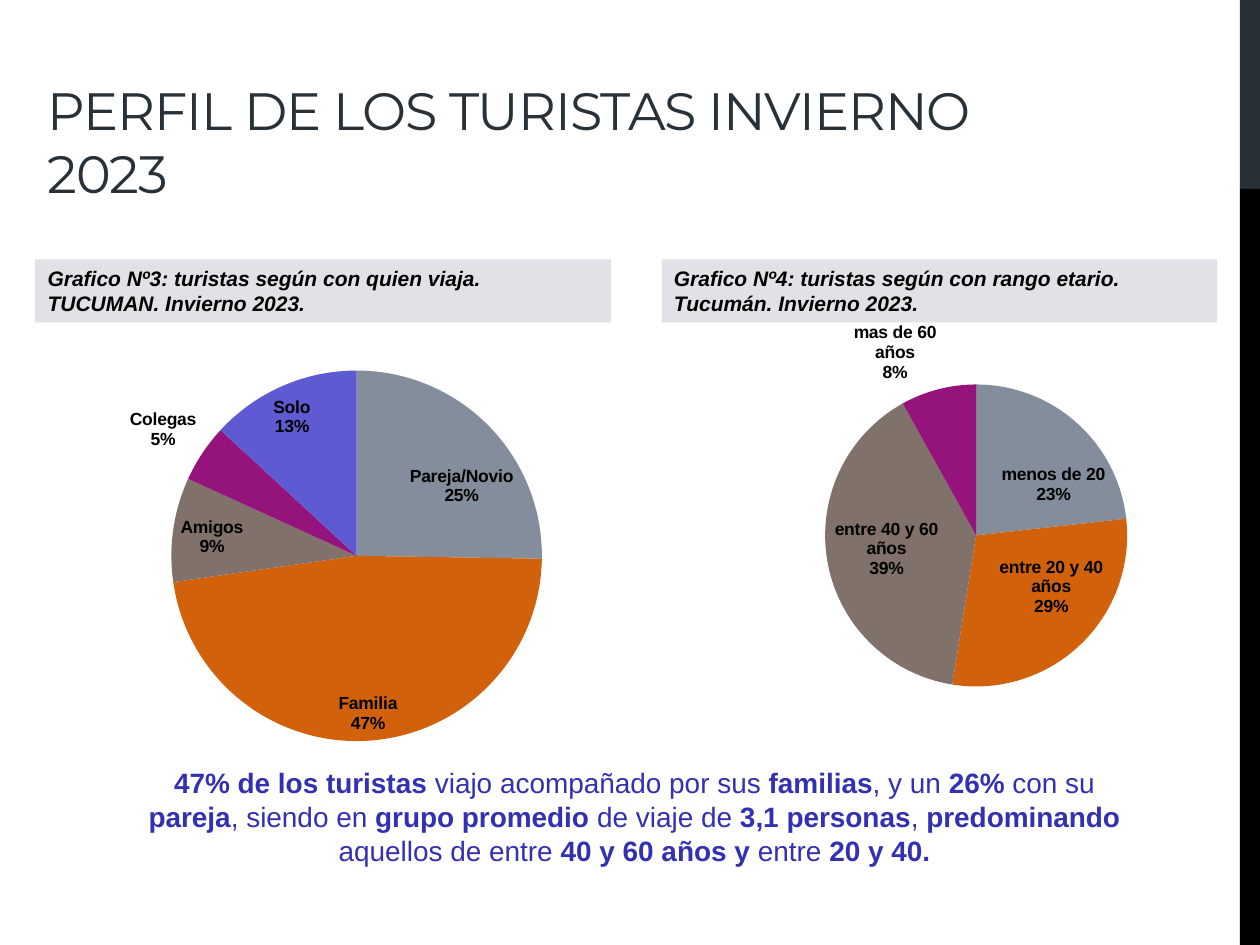
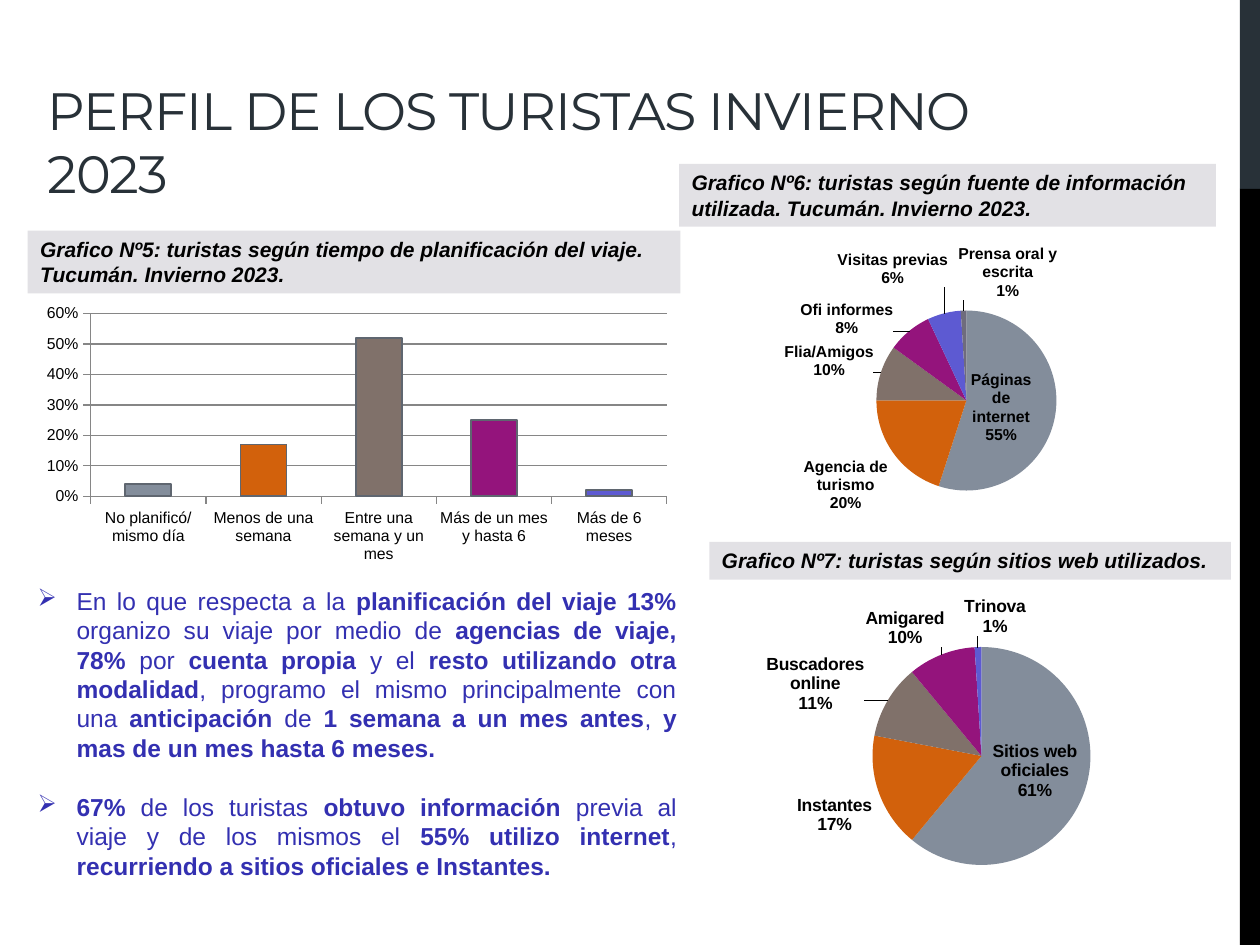
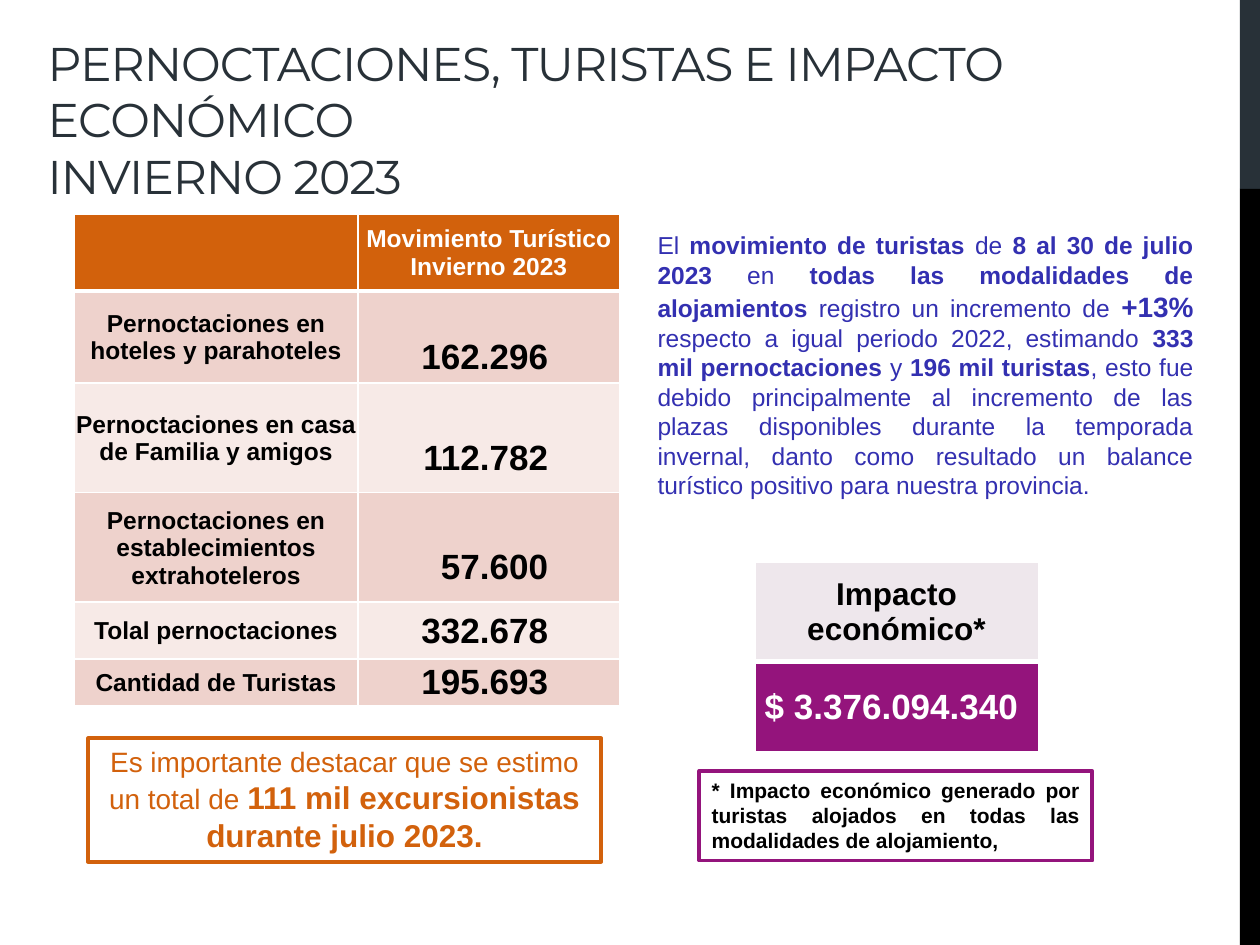
from dataclasses import dataclass

from lxml.etree import SubElement
from pptx import Presentation
from pptx.chart.data import CategoryChartData
from pptx.dml.color import RGBColor
from pptx.enum.chart import XL_CHART_TYPE, XL_LABEL_POSITION, XL_TICK_MARK
from pptx.enum.shapes import MSO_SHAPE
from pptx.enum.text import MSO_ANCHOR, PP_ALIGN
from pptx.oxml import parse_xml
from pptx.oxml.ns import nsdecls, qn
from pptx.util import Inches, Pt


@dataclass(frozen=True)
class Theme:
    body_font: str = "Arial"
    title_font: str = "Montserrat"
    dark: str = "283138"
    black: str = "000000"
    white: str = "FFFFFF"
    caption_fill: str = "E2E1E5"
    text: str = "3330B1"
    orange: str = "D2610C"
    purple: str = "94147C"
    grid: str = "868686"
    bar_line: str = "5F6670"
    row_fills: tuple = ("EED2CC", "F7EAE7")
    impact_fill: str = "EEE7EC"
    series: tuple = ("838D9B", "D2610C", "80716A", "94147C", "5D5AD2", "6F6C7D")
    title_size: int = 30
    long_title_size: int = 27
    amount_size: int = 20
    large_size: int = 18
    lead_size: int = 16
    body_size: int = 14
    caption_size: int = 12
    label_size: int = 10
    small_size: int = 9


THEME = Theme()
WIDTH, HEIGHT = 10, 7.5
BAND_WIDTH = 0.16
IN, OUT = XL_LABEL_POSITION.INSIDE_END, XL_LABEL_POSITION.OUTSIDE_END

# Content: ** switches bold on and off; boxes are left, top, width, height in inches
PROFILE_TITLE = "PERFIL DE LOS TURISTAS INVIERNO 2023"
IMPACT_TITLE = "PERNOCTACIONES, TURISTAS E IMPACTO ECONÓMICO\nINVIERNO 2023"

COMPANY_CAPTIONS = [
    ((0.28, 2.06, 4.57, 0.5),
     "Grafico Nº3: turistas según con quien viaja. TUCUMAN. Invierno 2023."),
    ((5.25, 2.06, 4.41, 0.5),
     "Grafico Nº4: turistas según con rango etario. Tucumán. Invierno 2023."),
]
PLANNING_CAPTIONS = [
    ((0.22, 1.83, 5.18, 0.5),
     "Grafico Nº5: turistas según tiempo de planificación del viaje. Tucumán. Invierno 2023."),
    ((5.39, 1.3, 4.26, 0.5),
     "Grafico Nº6: turistas según fuente de información utilizada. Tucumán. Invierno 2023."),
    ((5.63, 4.3, 4.14, 0.3), "Grafico Nº7: turistas según sitios web utilizados."),
]

# Pies: box, circle (centre x, centre y, diameter), label size,
# slices (name, value, label position, label shift as shares of the chart)
COMPANY_PIES = [
    ((0.18, 2.51, 4.76, 3.51), (2.83, 4.41, 2.94), THEME.label_size, [
        ("Pareja/Novio", 25, IN, (0.05, 0.08)), ("Familia", 47, IN, None),
        ("Amigos", 9, IN, (0, -0.03)), ("Colegas", 5, OUT, None),
        ("Solo", 13, IN, (-0.02, 0.01))]),
    ((5.26, 2.41, 4.4, 3.62), (7.75, 4.25, 2.4), THEME.label_size, [
        ("menos de 20", 23, IN, (0.06, 0.08)),
        ("entre 20 y 40 años", 29, IN, (0.05, -0.05)),
        ("entre 40 y 60 años", 39, IN, (0, 0.04)), ("mas de 60 años", 8, OUT, None)]),
]
SOURCE_PIES = [
    ((5.36, 1.84, 4.41, 2.46), (7.67, 3.18, 1.43), THEME.small_size, [
        ("Páginas de internet", 55, IN, (-0.03, 0.1)), ("Agencia de turismo", 20, OUT, None),
        ("Flia/Amigos", 10, OUT, (0, 0.03)), ("Ofi informes", 8, OUT, (-0.02, 0.04)),
        ("Visitas previas", 6, OUT, (0.01, -0.06)),
        ("Prensa oral y escrita", 1, OUT, (0.08, -0.01))]),
    ((5.43, 4.62, 4.53, 2.67), (7.79, 6, 1.73), THEME.label_size, [
        ("Sitios web oficiales", 61, IN, (0, 0.03)), ("Instantes", 17, OUT, None),
        ("Buscadores online", 11, OUT, (-0.03, 0.05)),
        ("Amigared", 10, OUT, (0.01, 0)), ("Trinova", 1, OUT, (0.03, -0.01))]),
]
PLANNING_BOX = (0.28, 2.38, 5.12, 2.14)
PLANNING_PLOT = (0.72, 2.49, 4.57, 1.45)
PLANNING_TIMES = [
    ("No planificó/ mismo día", 0.04), ("Menos de una semana", 0.17),
    ("Entre una semana y un mes", 0.52), ("Más de un mes y hasta 6", 0.25),
    ("Más de 6 meses", 0.02),
]

COMPANY_SUMMARY = (
    "**47% de los turistas **viajo acompañado por sus **familias**, y un **26%** con su "
    "**pareja**, siendo en **grupo promedio **de viaje de **3,1 personas**, "
    "**predominando** aquellos de entre **40 y 60 años y **entre **20 y 40.**")
PLANNING_POINTS = [
    "En lo que respecta a la **planificación del viaje 13%** organizo su viaje por medio de "
    "**agencias de viaje, 78% **por **cuenta propia **y el **resto utilizando otra "
    "modalidad**, programo el mismo principalmente con una **anticipación** de "
    "**1 semana a un mes antes**, **y mas de un mes hasta 6 meses.**",
    "**67%** de los turistas **obtuvo información **previa al viaje y de los mismos el "
    "**55% utilizo internet**, **recurriendo a sitios oficiales e Instantes.**",
]
MOVEMENT = (
    "El **movimiento de turistas **de **8 al 30 de julio 2023** en **todas las modalidades "
    "de alojamientos **registro un incremento de **+13% **respecto a igual periodo 2022, "
    "estimando **333 mil pernoctaciones **y **196 mil turistas**, esto fue debido "
    "principalmente al incremento de las plazas disponibles durante la temporada invernal, "
    "danto como resultado un balance turístico positivo para nuestra provincia.")
DAY_TRIPPERS = "111 mil excursionistas durante julio 2023."
DAY_TRIP_NOTE = f"Es importante destacar que se estimo un total de **{DAY_TRIPPERS}**"
IMPACT_NOTE = ("* Impacto económico generado por turistas alojados en todas las modalidades "
               "de alojamiento,")

STAY_HEADER = "Movimiento Turístico Invierno 2023"
STAYS = [  # label, amount, row height, space above the amount
    ("Pernoctaciones en hoteles y parahoteles", "162.296", 0.73, 0.32),
    ("Pernoctaciones en casa de Familia y amigos", "112.782", 0.87, 0.32),
    ("Pernoctaciones en establecimientos extrahoteleros", "57.600", 0.87, 0.32),
    ("Tolal pernoctaciones", "332.678", 0.45, 0.01),
    ("Cantidad de Turistas", "195.693", 0.37, 0.01),
]
IMPACT_LABEL, IMPACT_AMOUNT = "Impacto económico*", "$ 3.376.094.340"


def rgb(value):
    return RGBColor.from_string(value)


def write_text(frame, text, size=THEME.body_size, color=THEME.text, font=THEME.body_font,
               bold=False, italic=False, align=PP_ALIGN.LEFT, tracking=None,
               bullet=None, gap=0, enlarge=None):
    """Write one paragraph per item; enlarge maps a run's words to its own size."""
    frame.word_wrap = True
    for index, line in enumerate([text] if isinstance(text, str) else text):
        paragraph = frame.add_paragraph() if index else frame.paragraphs[0]
        paragraph.alignment = align
        if index and gap:
            paragraph.space_before = Pt(gap)
        if bullet:
            properties = paragraph._p.get_or_add_pPr()
            properties.set("marL", str(Inches(0.31)))
            properties.set("indent", str(-Inches(0.31)))
            SubElement(properties, qn("a:buChar")).set("char", bullet)
        paragraph.font.size = Pt(size)
        for part, words in enumerate(line.split("**")):
            for row, piece in enumerate(words.split("\n")):
                if row:
                    paragraph.add_line_break()
                if not piece:
                    continue
                run = paragraph.add_run()
                run.text = piece
                run.font.name = font
                run.font.size = Pt((enlarge or {}).get(piece.strip(), size))
                run.font.bold = bold or part % 2 == 1
                run.font.italic = italic
                run.font.color.rgb = rgb(color)
                if tracking:
                    run._r.get_or_add_rPr().set("spc", str(tracking))


def add_text(slide, box, text, anchor=MSO_ANCHOR.TOP, **text_format):
    shape = slide.shapes.add_textbox(*map(Inches, box))
    shape.text_frame.vertical_anchor = anchor
    write_text(shape.text_frame, text, **text_format)


def add_box(slide, box, fill, text=None, line=None, **text_format):
    shape = slide.shapes.add_shape(MSO_SHAPE.RECTANGLE, *map(Inches, box))
    shape.shadow.inherit = False
    shape.fill.solid()
    shape.fill.fore_color.rgb = rgb(fill)
    if line:
        shape.line.color.rgb = rgb(line)
        shape.line.width = Pt(2.25)
    else:
        shape.line.fill.background()
    if text:
        shape.text_frame.vertical_anchor = MSO_ANCHOR.TOP
        write_text(shape.text_frame, text, **text_format)


def add_slide(presentation, title, size=THEME.title_size):
    """Start a slide with the side bands and the title."""
    slide = presentation.slides.add_slide(presentation.slide_layouts[6])
    left, split = WIDTH - BAND_WIDTH, HEIGHT / 5
    add_box(slide, (left, 0, BAND_WIDTH, split), THEME.dark)
    add_box(slide, (left, split, BAND_WIDTH, HEIGHT - split), THEME.black)
    add_text(slide, (0.28, 0.17, 7.8, 1.5), title, anchor=MSO_ANCHOR.BOTTOM, size=size,
             color=THEME.dark, font=THEME.title_font, tracking=-60)
    return slide


def add_captions(slide, captions):
    for box, text in captions:
        add_box(slide, box, THEME.caption_fill, text, size=THEME.caption_size,
                color=THEME.black, bold=True, italic=True)


def style_font(font, size, bold=False):
    font.name, font.size, font.bold = THEME.body_font, Pt(size), bold
    font.color.rgb = rgb(THEME.black)


def layout_xml(**values):
    parts = "".join(f'<c:{name} val="{value}"/>' for name, value in values.items())
    return parse_xml(f'<c:layout {nsdecls("c")}><c:manualLayout>{parts}'
                     "</c:manualLayout></c:layout>")


def add_chart(slide, kind, box, plot_box, names, values, size):
    """Add a one-series chart, its plot area placed in slide inches."""
    data = CategoryChartData()
    data.categories = names
    data.add_series("Series 1", values)
    chart = slide.shapes.add_chart(kind, *map(Inches, box), data).chart
    chart.has_legend = chart.has_title = False
    style_font(chart.font, size)
    plot_area = chart._chartSpace.chart.plotArea
    for old in plot_area.findall(qn("c:layout")):
        plot_area.remove(old)
    left, top, width, height = box
    plot_left, plot_top, plot_width, plot_height = plot_box
    plot_area.insert(0, layout_xml(
        layoutTarget="inner", xMode="edge", yMode="edge",
        x=round((plot_left - left) / width, 3), y=round((plot_top - top) / height, 3),
        w=round(plot_width / width, 3), h=round(plot_height / height, 3)))
    series = chart.plots[0].series[0]
    for index in range(len(names)):
        fill = series.points[index].format.fill
        fill.solid()
        fill.fore_color.rgb = rgb(THEME.series[index])
    return chart, series


def show_name_and_percent(element):
    for tag, value in (("showVal", 0), ("showCatName", 1), ("showPercent", 1)):
        element.find(qn(f"c:{tag}")).set("val", str(value))
    separator = parse_xml(f'<c:separator {nsdecls("c")}>\n</c:separator>')
    bubble = element.find(qn("c:showBubbleSize"))
    if bubble is None:
        bubble = element.find(qn("c:showPercent"))
    bubble.addnext(separator)


def add_pie(slide, box, circle, size, slices):
    names, values, positions, shifts = zip(*slices)
    center_x, center_y, diameter = circle
    plot_box = (center_x - diameter / 2, center_y - diameter / 2, diameter, diameter)
    chart, series = add_chart(slide, XL_CHART_TYPE.PIE, box, plot_box, names, values, size)
    chart.plots[0].vary_by_categories = True
    labels = series.data_labels
    style_font(labels.font, size, bold=True)
    labels.number_format, labels.number_format_is_linked = "0%", False
    show_name_and_percent(labels._element)
    for index, (position, shift) in enumerate(zip(positions, shifts)):
        label = series.points[index].data_label
        style_font(label.font, size, bold=True)
        label.position = position
        element = labels._element.findall(qn("c:dLbl"))[index]
        show_name_and_percent(element)
        if shift:
            element.insert(1, layout_xml(x=shift[0], y=shift[1]))


def add_columns(slide, box, plot_box, bars):
    names, values = zip(*bars)
    chart, series = add_chart(slide, XL_CHART_TYPE.COLUMN_CLUSTERED, box, plot_box,
                              names, values, THEME.small_size)
    plot = chart.plots[0]
    plot.vary_by_categories, plot.gap_width = False, 150
    for index in range(len(bars)):
        line = series.points[index].format.line
        line.color.rgb, line.width = rgb(THEME.bar_line), Pt(1)
    value_axis = chart.value_axis
    value_axis.minimum_scale, value_axis.maximum_scale, value_axis.major_unit = 0, 0.6, 0.1
    value_axis.tick_labels.number_format = "0%"
    value_axis.tick_labels.number_format_is_linked = False
    value_axis.has_major_gridlines = True
    for axis in (value_axis, chart.category_axis):
        axis.major_tick_mark = XL_TICK_MARK.OUTSIDE
        axis.format.line.color.rgb = rgb(THEME.grid)
        style_font(axis.tick_labels.font, THEME.small_size)
    value_axis.major_gridlines.format.line.color.rgb = rgb(THEME.grid)


def add_table(slide, box, columns, rows):
    table = slide.shapes.add_table(len(rows), len(columns), *map(Inches, box)).table
    for column, width in zip(table.columns, columns):
        column.width = Inches(width)
    for row, height in zip(table.rows, rows):
        row.height = Inches(height)
    return table


def fill_cell(cell, text, fill, top=0.01, right=0.01, thick=None, **text_format):
    """Fill a cell; thick names the side (T or B) with the wide border."""
    cell.margin_left, cell.margin_bottom = Inches(0.01), 0
    cell.margin_top, cell.margin_right = Inches(top), Inches(right)
    cell.vertical_anchor = MSO_ANCHOR.MIDDLE
    write_text(cell.text_frame, text, bold=True, **text_format)
    properties = cell._tc.get_or_add_tcPr()
    for side in "LRTB":
        border = SubElement(properties, qn(f"a:ln{side}"))
        border.set("w", str(Pt(3 if side == thick else 1)))
        color = SubElement(SubElement(border, qn("a:solidFill")), qn("a:srgbClr"))
        color.set("val", THEME.white)
    cell.fill.solid()
    cell.fill.fore_color.rgb = rgb(fill)


def build_company_slide(presentation):
    slide = add_slide(presentation, PROFILE_TITLE)
    add_text(slide, (1.06, 6.03, 7.95, 0.91), COMPANY_SUMMARY, size=THEME.lead_size,
             align=PP_ALIGN.CENTER)
    for pie in COMPANY_PIES:
        add_pie(slide, *pie)
    add_captions(slide, COMPANY_CAPTIONS)


def build_planning_slide(presentation):
    slide = add_slide(presentation, PROFILE_TITLE)
    add_text(slide, (0.2, 4.6, 5.27, 2.69), PLANNING_POINTS, align=PP_ALIGN.JUSTIFY,
             bullet="➢", gap=16.8)
    add_columns(slide, PLANNING_BOX, PLANNING_PLOT, PLANNING_TIMES)
    for pie in SOURCE_PIES:
        add_pie(slide, *pie)
    add_captions(slide, PLANNING_CAPTIONS)


def build_impact_slide(presentation):
    slide = add_slide(presentation, IMPACT_TITLE, THEME.long_title_size)

    # Overnight stays
    heights = [0.61] + [stay[2] for stay in STAYS]
    table = add_table(slide, (0.59, 1.7, 4.33, sum(heights)), (2.25, 2.08), heights)
    for column, text in enumerate(("", STAY_HEADER)):
        fill_cell(table.cell(0, column), text, THEME.orange, thick="B", color=THEME.white,
                  align=PP_ALIGN.CENTER)
    for row, (label, amount, _, space) in enumerate(STAYS, start=1):
        fill = THEME.row_fills[(row - 1) % 2]
        fill_cell(table.cell(row, 0), label, fill, color=THEME.black, align=PP_ALIGN.CENTER)
        fill_cell(table.cell(row, 1), amount, fill, top=space, right=0.57,
                  size=THEME.amount_size, color=THEME.black, align=PP_ALIGN.RIGHT)

    # Comments
    add_text(slide, (5.12, 1.78, 4.45, 2.26), MOVEMENT, align=PP_ALIGN.JUSTIFY,
             enlarge={"+13%": THEME.lead_size})
    add_box(slide, (0.7, 5.86, 4.07, 0.98), THEME.white, DAY_TRIP_NOTE, line=THEME.orange,
            size=THEME.lead_size, color=THEME.orange, align=PP_ALIGN.CENTER,
            enlarge={DAY_TRIPPERS: THEME.large_size})

    # Economic impact
    table = add_table(slide, (5.99, 4.46, 2.25, 1.51), (2.25,), (0.79, 0.72))
    fill_cell(table.cell(0, 0), IMPACT_LABEL, THEME.impact_fill, thick="B",
              size=THEME.large_size, color=THEME.black, align=PP_ALIGN.CENTER)
    fill_cell(table.cell(1, 0), IMPACT_AMOUNT, THEME.purple, thick="T", right=0.09,
              size=THEME.amount_size, color=THEME.white, align=PP_ALIGN.CENTER)
    add_box(slide, (5.55, 6.12, 3.12, 0.71), THEME.white, IMPACT_NOTE, line=THEME.purple,
            size=THEME.caption_size, color=THEME.black, bold=True, align=PP_ALIGN.JUSTIFY)


def main():
    presentation = Presentation()
    presentation.slide_width, presentation.slide_height = Inches(WIDTH), Inches(HEIGHT)
    build_company_slide(presentation)
    build_planning_slide(presentation)
    build_impact_slide(presentation)
    presentation.save("out.pptx")


if __name__ == "__main__":
    main()
